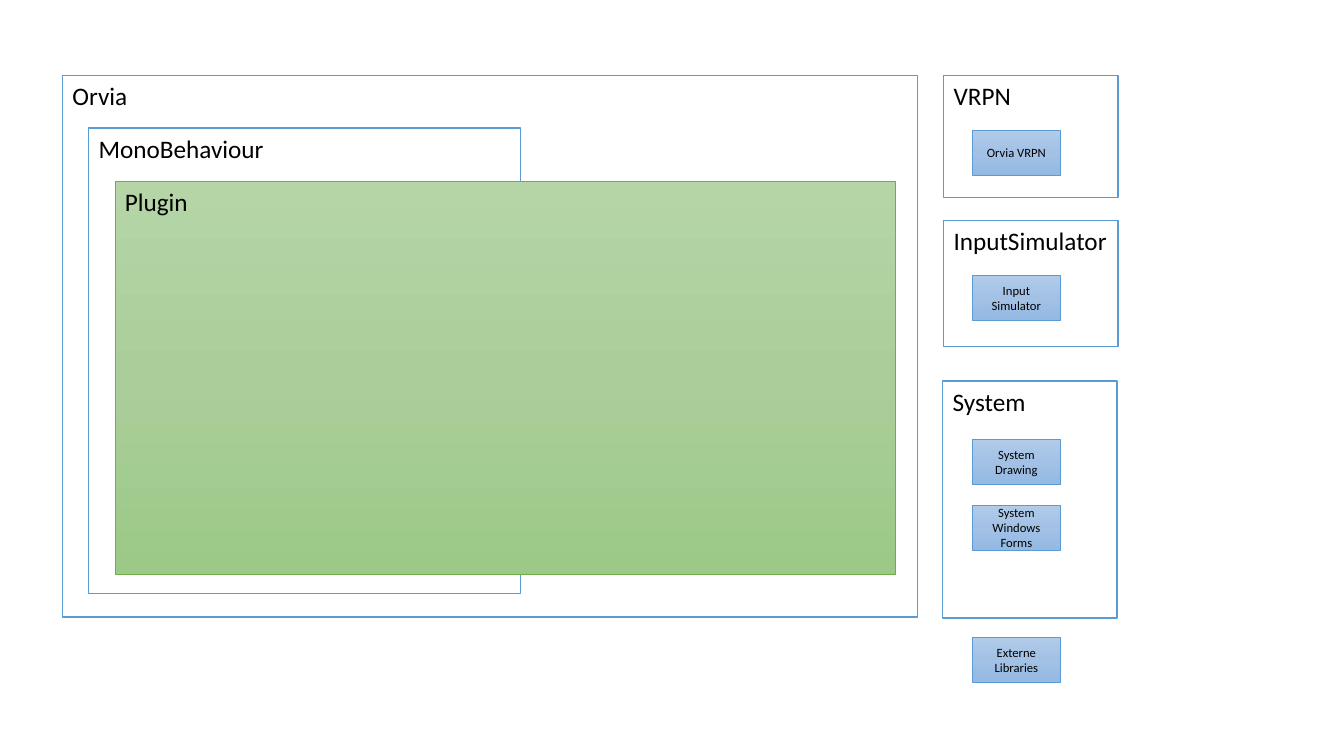
from copy import deepcopy
from dataclasses import dataclass

from pptx import Presentation
from pptx.dml.color import RGBColor
from pptx.dml.fill import FillFormat
from pptx.enum.shapes import MSO_SHAPE
from pptx.enum.text import MSO_ANCHOR, PP_ALIGN
from pptx.oxml.ns import qn
from pptx.shapes.autoshape import Shape
from pptx.slide import Slide
from pptx.util import Emu, Pt

SCALE = 9144  # EMU in one px, at 100 px to the inch


@dataclass(frozen=True)
class Theme:
    font: str = "Calibri"
    ink: str = "000000"
    white: str = "FFFFFF"
    blue: str = "5B9BD5"
    green: str = "70AD47"
    sky: tuple[str, ...] = ("B1CBE9", "A3C1E5", "93B9E4")
    leaf: tuple[str, ...] = ("B5D5A7", "AACE9A", "9CC987")
    head: int = 18
    small: int = 9
    thick: float = 1
    thin: float = 0.5


THEME = Theme()


@dataclass(frozen=True)
class Box:
    text: str
    left: int
    top: int
    width: int
    height: int
    fill: tuple[str, ...] = (THEME.white,)
    line: str = THEME.blue
    weight: float = THEME.thick


@dataclass(frozen=True)
class Chip:
    text: str
    top: int
    left: int = 964
    width: int = 88
    height: int = 45


BOXES = (
    Box("Orvia", 62, 75, 848, 537),
    Box("VRPN", 936, 75, 173, 121),
    Box("MonoBehaviour", 88, 127, 428, 462, fill=()),
    Box("Plugin", 114, 180, 774, 390, THEME.leaf, THEME.green, THEME.thin),
    Box("InputSimulator", 936, 219, 173, 125),
    Box("System", 935, 378, 173, 235),
)

CHIPS = (
    Chip("Orvia VRPN", 129),
    Chip("Input Simulator", 273),
    Chip("System Drawing", 436),
    Chip("System Windows Forms", 501),
    Chip("Externe Libraries", 632),
)


def px(count: int) -> Emu:
    return Emu(count * SCALE)


def color(code: str) -> RGBColor:
    return RGBColor.from_string(code)


def blend(shape: Shape, codes: tuple[str, ...]) -> None:
    """Fill with evenly spaced colours, from top to bottom."""
    fill: FillFormat = shape.fill
    fill.gradient()
    fill.gradient_angle = 270
    stops = shape._element.spPr.find(".//" + qn("a:gsLst"))
    while len(stops) < len(codes):
        stops.append(deepcopy(stops[0]))
    for i, (stop, code) in enumerate(zip(fill.gradient_stops, codes)):
        stop.color.rgb = color(code)
        stop.position = i / (len(codes) - 1)


def paint(shape: Shape, codes: tuple[str, ...]) -> None:
    """Fill with nothing, one colour or a gradient, by the number of codes."""
    if not codes:
        shape.fill.background()
    elif len(codes) == 1:
        shape.fill.solid()
        shape.fill.fore_color.rgb = color(codes[0])
    else:
        blend(shape, codes)


def write(shape: Shape, text: str, *, size: int,
          align: PP_ALIGN = PP_ALIGN.LEFT,
          anchor: MSO_ANCHOR = MSO_ANCHOR.TOP) -> None:
    frame = shape.text_frame
    frame.word_wrap = True
    frame.vertical_anchor = anchor
    line = frame.paragraphs[0]
    line.alignment = align
    run = line.add_run()
    run.text = text
    run.font.name = THEME.font
    run.font.size = Pt(size)
    run.font.color.rgb = color(THEME.ink)


def draw(slide: Slide, item: Box | Chip, fill: tuple[str, ...],
         line: str, weight: float) -> Shape:
    shape = slide.shapes.add_shape(
        MSO_SHAPE.RECTANGLE, px(item.left), px(item.top),
        px(item.width), px(item.height))
    shape.shadow.inherit = False
    paint(shape, fill)
    shape.line.color.rgb = color(line)
    shape.line.width = Pt(weight)
    return shape


def main() -> None:
    deck = Presentation()
    deck.slide_width, deck.slide_height = px(1333), px(750)
    slide = deck.slides.add_slide(deck.slide_layouts.get_by_name("Blank"))
    for box in BOXES:
        shape = draw(slide, box, box.fill, box.line, box.weight)
        write(shape, box.text, size=THEME.head)
    for chip in CHIPS:
        shape = draw(slide, chip, THEME.sky, THEME.blue, THEME.thin)
        write(shape, chip.text, size=THEME.small,
              align=PP_ALIGN.CENTER, anchor=MSO_ANCHOR.MIDDLE)
    deck.save("out.pptx")


if __name__ == "__main__":
    main()
